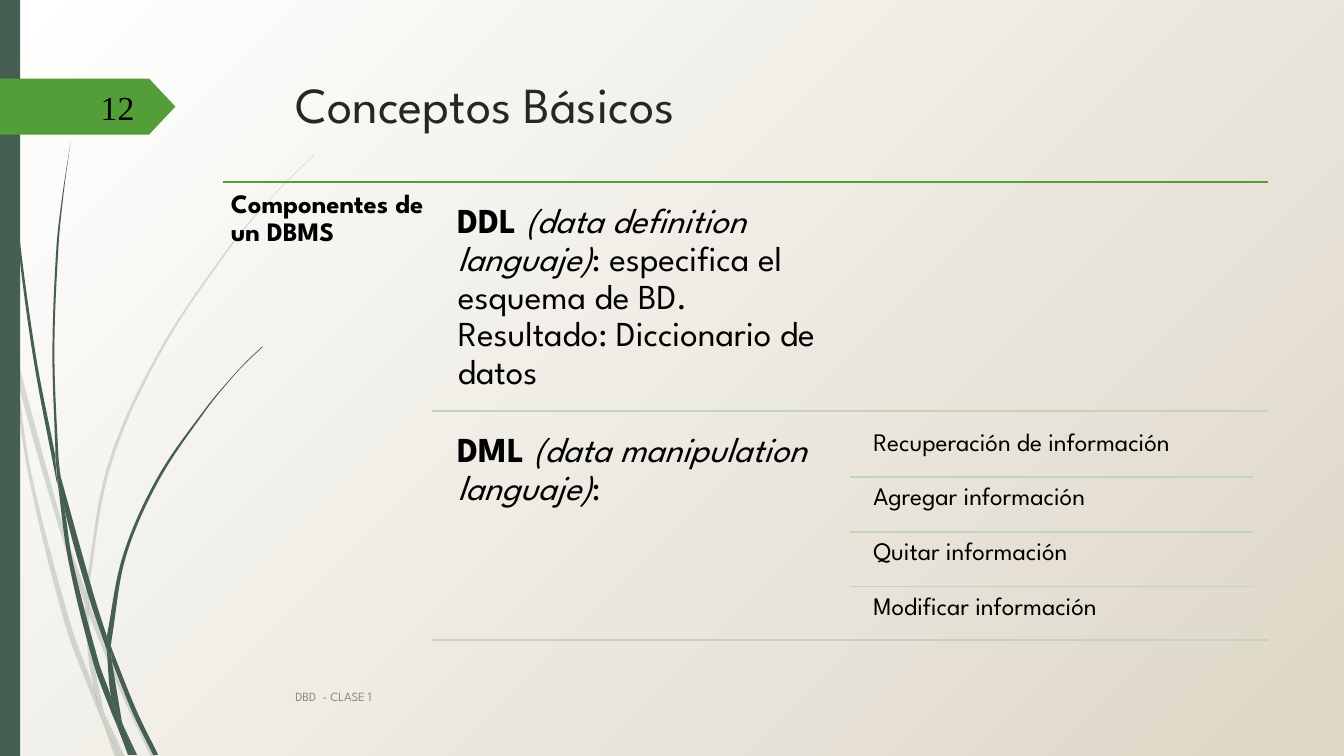
from math import dist

from lxml import etree
from pptx import Presentation
from pptx.dml.color import RGBColor
from pptx.enum.shapes import MSO_CONNECTOR, MSO_SHAPE
from pptx.enum.text import MSO_ANCHOR, PP_ALIGN
from pptx.oxml.ns import qn
from pptx.util import Pt

STRAIGHT = MSO_CONNECTOR.STRAIGHT
RECT, ARROW = MSO_SHAPE.RECTANGLE, MSO_SHAPE.PENTAGON
TOP, MIDDLE = MSO_ANCHOR.TOP, MSO_ANCHOR.MIDDLE
LEFT, RIGHT = PP_ALIGN.LEFT, PP_ALIGN.RIGHT

FONT = "League Spartan"
PINE, GREEN, PALE = "455F51", "549E39", "C1D5BD"
UNIT = Pt(0.72)  # blade knots are hundredths of an inch

# Each blade of grass: the knots of its one edge, then of its other edge.
LIGHT = [
    ([(0, 282), (9, 322), (11, 350)], [(10, 344), (0, 299)]),
    ([(14, 345), (62, 520), (85, 586)],
     [(84, 599), (58, 522), (17, 376), (14, 345)]),
    ([(88, 596), (92, 607), (127, 692), (155, 751)],
     [(150, 751), (123, 694), (88, 610)]),
    ([(105, 711), (124, 751)], [(119, 751), (105, 711)]),
    ([(11, 350), (17, 376), (31, 469), (70, 619), (93, 683), (101, 714)],
     [(92, 693), (65, 621), (28, 470), (11, 350)]),
    ([(84, 599), (87, 646), (93, 683), (96, 692), (105, 711)],
     [(103, 706), (91, 646), (88, 610), (88, 608)]),
    ([(312, 153), (289, 175), (268, 197), (228, 244), (158, 348), (107, 461),
      (85, 584), (85, 586)],
     [(88, 596), (88, 584), (110, 462), (160, 349), (229, 245), (268, 198),
      (290, 175), (312, 154)]),
    ([(101, 714), (114, 751)], [(119, 751), (101, 714)]),
    ([(85, 586), (88, 596), (88, 610)], [(88, 608), (84, 599)]),
    ([(93, 683), (99, 707), (101, 714), (119, 751)], [(105, 711), (96, 692)]),
]
DARK = [
    ([(3, 0), (7, 110), (17, 233), (33, 355), (56, 477), (57, 481)],
     [(55, 457), (55, 453), (36, 355), (19, 232), (8, 109), (5, 48), (4, 0)]),
    ([(60, 472), (93, 590), (106, 631)],
     [(106, 645), (88, 592), (64, 505), (60, 472)]),
    ([(110, 641), (113, 649), (136, 706), (157, 749)],
     [(152, 749), (132, 708), (111, 656)]),
    ([(57, 477), (64, 505), (72, 556), (98, 657), (110, 691), (117, 722)],
     [(111, 708), (93, 659), (68, 557), (57, 477)]),
    ([(70, 141), (63, 193), (58, 245), (54, 349), (58, 453), (60, 472)],
     [(55, 449), (52, 349), (56, 245), (62, 193), (70, 141)]),
    ([(122, 719), (136, 749)], [(133, 749), (122, 719)]),
    ([(55, 449), (60, 472), (64, 505)], [(57, 477), (55, 453)]),
    ([(260, 344), (245, 358), (231, 373), (204, 405), (156, 474), (122, 551),
      (106, 631)],
     [(110, 641), (111, 633), (125, 552), (158, 476), (205, 406), (231, 374),
      (245, 359), (261, 344)]),
    ([(117, 722), (127, 749)], [(131, 749), (117, 722)]),
    ([(106, 645), (110, 691), (116, 706), (122, 719)],
     [(121, 716), (111, 656)]),
    ([(106, 631), (110, 641), (111, 656)], [(106, 645)]),
    ([(110, 691), (117, 722), (130, 749)],
     [(133, 749), (122, 719), (116, 706)]),
]


def rgb(code):
    return RGBColor.from_string(code)


def paint(shape, code, alpha=None):
    shape.shadow.inherit = False
    shape.fill.solid()
    shape.fill.fore_color.rgb = rgb(code)
    shape.line.fill.background()
    if alpha:
        tint = shape.element.spPr.find(".//" + qn("a:srgbClr"))
        etree.SubElement(tint, qn("a:alpha"), val=str(alpha * 1000))


def handle(knot, mate, far):
    """Return the control point beside knot, on its way to mate."""
    pull = dist(knot, mate) / (3 * dist(mate, far))
    return tuple(k + (m - f) * pull for k, m, f in zip(knot, mate, far))


def bend(shape, edges):
    """Turn the straight steps within each edge into smooth curves."""
    steps = list(shape.element.iter(qn("a:moveTo"), qn("a:lnTo")))
    for edge in edges:
        run, steps = steps[:len(edge)], steps[len(edge):]
        spots = [(int(s[0].get("x")), int(s[0].get("y"))) for s in run]
        ends = [spots[0], *spots, spots[-1]]
        for step, a, b, c, d in zip(run[1:], ends, ends[1:], ends[2:],
                                    ends[3:]):
            curve = etree.Element(qn("a:cubicBezTo"))
            for x, y in (handle(b, c, a), handle(c, b, d), c):
                etree.SubElement(curve, qn("a:pt"), x=str(round(x)),
                                 y=str(round(y)))
            step.getparent().replace(step, curve)


def add_blade(slide, edges, alpha=None):
    knots = [(x * UNIT, y * UNIT) for edge in edges for x, y in edge]
    pen = slide.shapes.build_freeform(*knots[0])
    pen.add_line_segments(knots[1:], close=True)
    shape = pen.convert_to_shape()
    # The closing step back to the start comes after the steps of all edges.
    bend(shape, edges)
    paint(shape, PINE, alpha)


def add_block(slide, kind, box, code):
    shape = slide.shapes.add_shape(kind, *map(Pt, box))
    paint(shape, code)
    return shape


def add_rule(slide, left, right, y, code=PALE):
    rule = slide.shapes.add_connector(
        STRAIGHT, Pt(left), Pt(y), Pt(right), Pt(y))
    rule.line.color.rgb = rgb(code)
    rule.line.width = Pt(1.25)
    etree.SubElement(rule.element.spPr, qn("a:effectLst"))


def add_text(slide, box, parts, size, code="000000", font=FONT, pad=(7.2, 3.6),
             space=None, anchor=TOP, align=LEFT):
    """Write parts, pairs of text and style ("", "b" or "i"), in one line."""
    frame = slide.shapes.add_textbox(*map(Pt, box)).text_frame
    frame.word_wrap = True
    frame.vertical_anchor = anchor
    frame.margin_left = frame.margin_right = Pt(pad[0])
    frame.margin_top = frame.margin_bottom = Pt(pad[1])
    para = frame.paragraphs[0]
    para.alignment = align
    if space:
        para.line_spacing = space
    for text, style in parts:
        run = para.add_run()
        run.text = text
        run.font.name = font
        run.font.size = Pt(size)
        run.font.bold = style == "b"
        run.font.italic = style == "i"
        run.font.color.rgb = rgb(code)


def add_back(slide):
    """Fill the background, white at top left and sand at bottom right."""
    fill = slide.background.fill
    fill.gradient()
    for stop, code in zip(fill.gradient_stops, ("FFFFFF", "DDD7C7")):
        stop.color.rgb = rgb(code)
    grad = slide.element.find(".//" + qn("a:gradFill"))
    ring = etree.Element(qn("a:path"), path="circle")
    etree.SubElement(ring, qn("a:fillToRect"), r="100000", b="100000")
    grad.replace(grad.find(qn("a:lin")), ring)


def add_parts(slide):
    """Lay out the heading column, the two languages and the tasks of DML."""
    top, pitch, row = 130, 163.7, 39
    add_rule(slide, 159, 906, top, "539E36")
    add_text(slide, (159.1, top, 151, 335.5),
             [("Componentes de un DBMS", "b")], 19, pad=(5.8, 5.8), space=0.9)
    terms = [
        [("DDL ", "b"), ("(data definition languaje)", "i"),
         (": especifica el esquema de BD. Resultado: Diccionario de datos",
          "")],
        [("DML ", "b"), ("(data manipulation languaje)", "i"), (":", "")],
    ]
    for i, term in enumerate(terms):
        y = top + i * pitch
        add_text(slide, (320, y + 8, 287.3, 156), term, 25,
                 pad=(7.2, 7.2), space=0.9)
        add_rule(slide, 308.6, 906, y + pitch)
    tasks = ["Recuperación de información", "Agregar información",
             "Quitar información", "Modificar información"]
    for i, task in enumerate(tasks):
        y = top + pitch + 8.2 + i * row
        if i:
            add_rule(slide, 607, 895, y)
        add_text(slide, (618.8, y, 287.3, row), [(task, "")], 18,
                 pad=(5, 5), space=0.9)


def main():
    deck = Presentation()
    deck.slide_width, deck.slide_height = Pt(960), Pt(540)
    slide = deck.slides.add_slide(deck.slide_layouts[6])
    add_back(slide)
    for blades, alpha in ((LIGHT, 20), (DARK, None)):
        for edges in blades:
            add_blade(slide, edges, alpha)
    add_block(slide, RECT, (0, 0, 14.4, 540), PINE)
    arrow = add_block(slide, ARROW, (0, 56.2, 125.3, 39.9), GREEN)
    arrow.adjustments[0] = 0.47
    add_text(slide, (204.1, 49, 702, 100.8), [("Conceptos Básicos", "")], 36,
             "262626")
    add_parts(slide)
    add_text(slide, (203.8, 483.1, 600, 28.8), [("DBD  - CLASE 1", "")], 9,
             "888888", anchor=MIDDLE)
    add_text(slide, (41.8, 61.9, 61.2, 28.8), [("12", "")], 24,
             font="Times New Roman", anchor=MIDDLE, align=RIGHT)
    deck.save("out.pptx")


if __name__ == "__main__":
    main()
